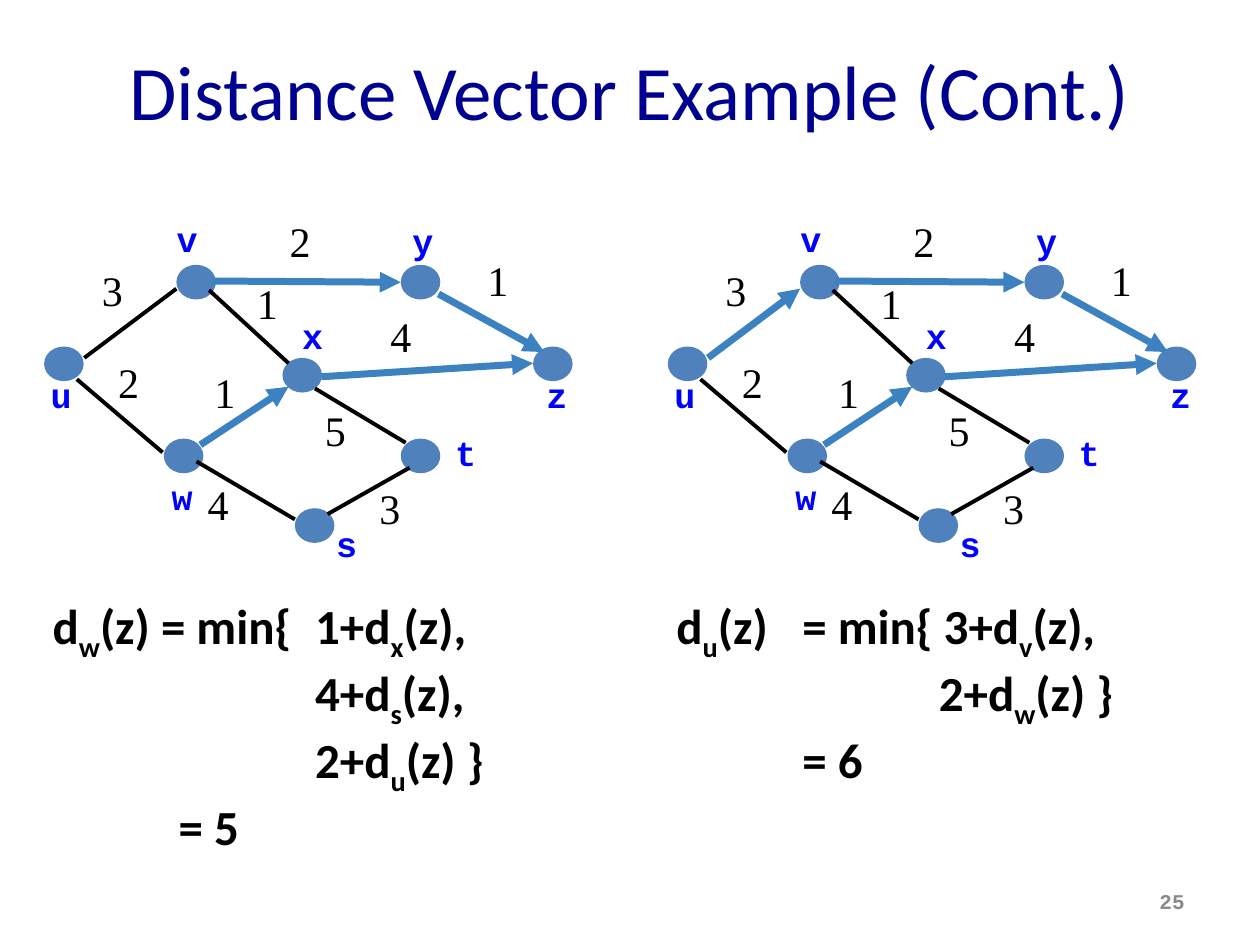
from lxml import etree
from pptx import Presentation
from pptx.dml.color import RGBColor
from pptx.enum.shapes import MSO_CONNECTOR, MSO_SHAPE
from pptx.enum.text import MSO_ANCHOR, PP_ALIGN
from pptx.oxml.ns import qn
from pptx.util import Pt

OVAL = MSO_SHAPE.OVAL
LINE = MSO_CONNECTOR.STRAIGHT
TOP, MID = MSO_ANCHOR.TOP, MSO_ANCHOR.MIDDLE
LEFT, MIDDLE, RIGHT = PP_ALIGN.LEFT, PP_ALIGN.CENTER, PP_ALIGN.RIGHT

NAVY = RGBColor(0x00, 0x00, 0x90)
BLUE = RGBColor(0x00, 0x00, 0xFF)
NODE = RGBColor(0x4F, 0x81, 0xBD)
ROUTE = RGBColor(0x3C, 0x82, 0xC0)
BLACK = RGBColor(0, 0, 0)
GRAY = RGBColor(0x89, 0x89, 0x89)

# Node: oval left and top, then centre and top of its name
NODES = {
    "u": (25.2, 198, 34.9, 209.7),
    "w": (93.6, 250.6, 104.1, 268),
    "v": (100.8, 151.3, 106.9, 121),
    "x": (161.4, 204.5, 178.6, 176.4),
    "t": (229, 250.6, 266, 242.8),
    "y": (229, 151.3, 241.6, 121.7),
    "s": (168.5, 290.4, 198, 295.2),
    "z": (304.6, 198, 318.2, 209.7),
}
# Edge: start, end, weight, left and top of the weight
EDGES = {
    "uv": (48.2, 204.5, 100.8, 165, "3", 51.1, 147.6),
    "uw": (43.9, 216.7, 92.9, 258.5, "2", 60.5, 200.2),
    "vx": (119.5, 165.8, 164.9, 207.6, "1", 139.7, 155),
    "ws": (112.3, 263.7, 168.5, 296.8, "4", 111.6, 270),
    "wx": (114.5, 254.2, 164.9, 221, "1", 115.5, 205.9),
    "xt": (180, 222, 231.8, 253, "5", 178.6, 227.5),
    "st": (187.2, 293.8, 234, 267.3, "3", 209.7, 272.2),
    "xz": (183.6, 215.3, 304.6, 207.6, "4", 216, 173.8),
    "vy": (121, 160.6, 229, 161.3, "2", 158.4, 119.8),
    "yz": (250.6, 168, 311, 201.2, "1", 271.4, 141.8),
}
# Graph: left shift, routed edges, formula lines with subscripts between "_"
GRAPHS = [
    (0, {"wx", "xz", "vy", "yz"},
     ["d_w_(z) = min{\t1+d_x_(z),", "\t\t4+d_s_(z),", "\t\t2+d_u_(z) }", "\t= 5"]),
    (356.4, {"uv", "wx", "xz", "vy", "yz"},
     ["d_u_(z)\t= min{ 3+d_v_(z),", "\t\t2+d_w_(z) }", "\t= 6"]),
]
STOPS = (72, 150)


def put_run(para, text, font, size, color, bold=False):
    run = para.add_run()
    run.text = text
    run.font.name = font
    run.font.size = Pt(size)
    run.font.color.rgb = color
    run.font.bold = bold
    return run


def add_box(shapes, x, y, w, h, align=LEFT, anchor=TOP, wrap=True):
    frame = shapes.add_textbox(Pt(x), Pt(y), Pt(w), Pt(h)).text_frame
    frame.word_wrap = wrap
    frame.vertical_anchor = anchor
    frame.paragraphs[0].alignment = align
    return frame


prs = Presentation()
prs.slide_width, prs.slide_height = Pt(720), Pt(540)
slide = prs.slides.add_slide(prs.slide_layouts[6])

# Title and page number
frame = add_box(slide.shapes, 36, 6, 648, 90, MIDDLE, MID)
put_run(frame.paragraphs[0], "Distance Vector Example (Cont.)", "Calibri", 44, NAVY)
frame = add_box(slide.shapes, 516, 500.5, 168, 28.75, RIGHT, MID)
put_run(frame.paragraphs[0], "25", "Courier New", 12, GRAY, True)

for shift, routes, lines in GRAPHS:
    shapes = slide.shapes.add_group_shape().shapes

    # Nodes
    for x, y, _, _ in NODES.values():
        oval = shapes.add_shape(OVAL, Pt(x + shift), Pt(y), Pt(22.6), Pt(19.8))
        oval.shadow.inherit = False
        oval.fill.solid()
        oval.fill.fore_color.rgb = NODE
        oval.line.fill.background()

    # Edges, with an arrowhead on those of the route
    for edge, (x1, y1, x2, y2, *_) in EDGES.items():
        link = shapes.add_connector(LINE, Pt(x1 + shift), Pt(y1), Pt(x2 + shift), Pt(y2))
        link.line.color.rgb = ROUTE if edge in routes else BLACK
        link.line.width = Pt(4 if edge in routes else 2.25)
        if edge in routes:
            etree.SubElement(link.line._get_or_add_ln(), qn("a:tailEnd"), type="triangle")
        etree.SubElement(link._element.spPr, qn("a:effectLst"))

    # Edge weights
    for *_, cost, x, y in EDGES.values():
        frame = add_box(shapes, x + shift, y, 26.6, 36, wrap=False)
        put_run(frame.paragraphs[0], cost, "Times New Roman", 24, BLACK)

    # Node names
    for name, (_, _, mid, y) in NODES.items():
        frame = add_box(shapes, mid - 13.5 + shift, y, 27, 31, MIDDLE, wrap=False)
        put_run(frame.paragraphs[0], name, "Courier New", 20, BLUE, True)

    # Formula, aligned at tab stops
    frame = add_box(shapes, 23 + shift, 337, 325.5, 177 if len(lines) > 3 else 143)
    for row, text in enumerate(lines):
        para = frame.add_paragraph() if row else frame.paragraphs[0]
        tabs = etree.SubElement(para._p.get_or_add_pPr(), qn("a:tabLst"))
        for stop in STOPS:
            etree.SubElement(tabs, qn("a:tab"), pos=str(Pt(stop)), algn="l")
        for part, piece in enumerate(text.split("_")):
            run = put_run(para, piece, "Calibri", 28, BLACK, True)
            if part % 2:
                run.font._element.set("baseline", "-25000")

prs.save("out.pptx")
